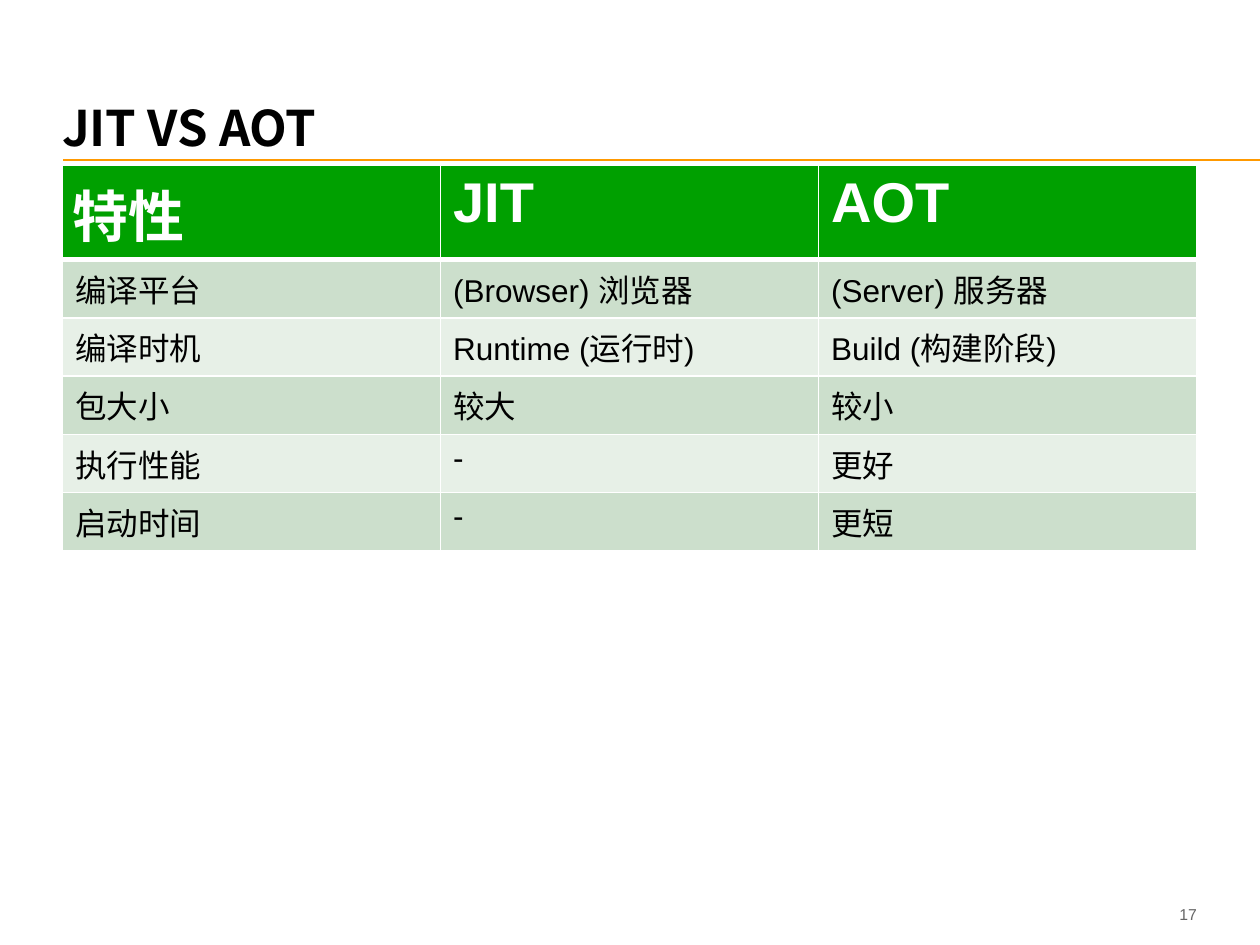
"""Build the JIT versus AOT comparison slide."""
from dataclasses import dataclass

from lxml.etree import SubElement
from pptx import Presentation
from pptx.dml.color import RGBColor
from pptx.enum.shapes import MSO_CONNECTOR
from pptx.enum.text import MSO_ANCHOR, MSO_AUTO_SIZE, PP_ALIGN
from pptx.oxml.ns import qn
from pptx.util import Cm, Pt


@dataclass(frozen=True)
class Theme:
    latin: str = "Arial"
    chinese: str = "Noto Sans CJK SC"
    black: str = "000000"
    white: str = "FFFFFF"
    grey: str = "666666"
    orange: str = "FF9900"
    green: str = "00A000"
    bands: tuple = ("CCDFCC", "E7F0E7")
    title_size: int = 28
    header_size: int = 32
    body_size: int = 18
    number_size: int = 9


theme = Theme()


def style_text(para, latin, size, color, bold=False):
    para.font.name = latin
    para.font.size = Pt(size)
    para.font.bold = bold
    para.font.color.rgb = RGBColor.from_string(color)
    defaults = para._p.get_or_add_pPr().find(qn("a:defRPr"))
    SubElement(defaults, qn("a:ea"), typeface=theme.chinese)


def add_borders(cell, top, bottom):
    properties = cell._tc.get_or_add_tcPr()
    for side, width in (("L", 1), ("R", 1), ("T", top), ("B", bottom)):
        border = SubElement(properties, qn(f"a:ln{side}"), w=str(Pt(width)))
        fill = SubElement(border, qn("a:solidFill"))
        SubElement(fill, qn("a:srgbClr"), val=theme.white)


deck = Presentation()
deck.slide_width, deck.slide_height = Cm(25.4), Cm(19.05)
page = deck.slides.add_slide(deck.slide_layouts[5])

rule = page.shapes.add_connector(
    MSO_CONNECTOR.STRAIGHT, Cm(1.27), Cm(3.22), Cm(25.4), Cm(3.22)
)
rule.line.color.rgb = RGBColor.from_string(theme.orange)
rule.line.width = Pt(1)
SubElement(rule._element.spPr, qn("a:effectLst"))

title = page.shapes.title
title.left, title.top, title.width, title.height = Cm(1.25), Cm(0.97), Cm(22.78), Cm(2.18)
frame = title.text_frame
frame.text = "JIT VS AOT"
frame.auto_size = MSO_AUTO_SIZE.NONE
frame.vertical_anchor = MSO_ANCHOR.BOTTOM
frame.margin_left = frame.margin_right = frame.margin_top = frame.margin_bottom = 0
para = frame.paragraphs[0]
para.alignment = PP_ALIGN.LEFT
para.line_spacing = Pt(26)
style_text(para, theme.chinese, theme.title_size, theme.black, bold=True)

rows = [
    ("特性", "JIT", "AOT"),
    ("编译平台", "(Browser) 浏览器", "(Server) 服务器"),
    ("编译时机", "Runtime (运行时)", "Build (构建阶段)"),
    ("包大小", "较大", "较小"),
    ("执行性能", "-", "更好"),
    ("启动时间", "-", "更短"),
]
table = page.shapes.add_table(
    len(rows), 3, Cm(1.26), Cm(3.34), Cm(22.86), Cm(6.18)
).table
for row_index, row in enumerate(rows):
    is_header = row_index == 0
    fill_color = theme.green if is_header else theme.bands[(row_index - 1) % 2]
    for column_index, text in enumerate(row):
        cell = table.cell(row_index, column_index)
        cell.text = text
        add_borders(cell, top=3 if row_index == 1 else 1, bottom=3 if is_header else 1)
        cell.fill.solid()
        cell.fill.fore_color.rgb = RGBColor.from_string(fill_color)
        style_text(
            cell.text_frame.paragraphs[0],
            theme.latin,
            theme.header_size if is_header else theme.body_size,
            theme.white if is_header else theme.black,
            bold=is_header,
        )
corner = table.cell(0, 0)
corner.vertical_anchor = MSO_ANCHOR.MIDDLE
corner.margin_left = corner.margin_right = Cm(0.2)

number_box = page.shapes.add_textbox(Cm(22.6), Cm(18.26), Cm(1.53), Cm(0.36))
frame = number_box.text_frame
frame.text = "17"
frame.word_wrap = True
frame.vertical_anchor = MSO_ANCHOR.MIDDLE
frame.margin_right = 0
para = frame.paragraphs[0]
para.alignment = PP_ALIGN.RIGHT
style_text(para, theme.latin, theme.number_size, theme.grey)

deck.save("out.pptx")
